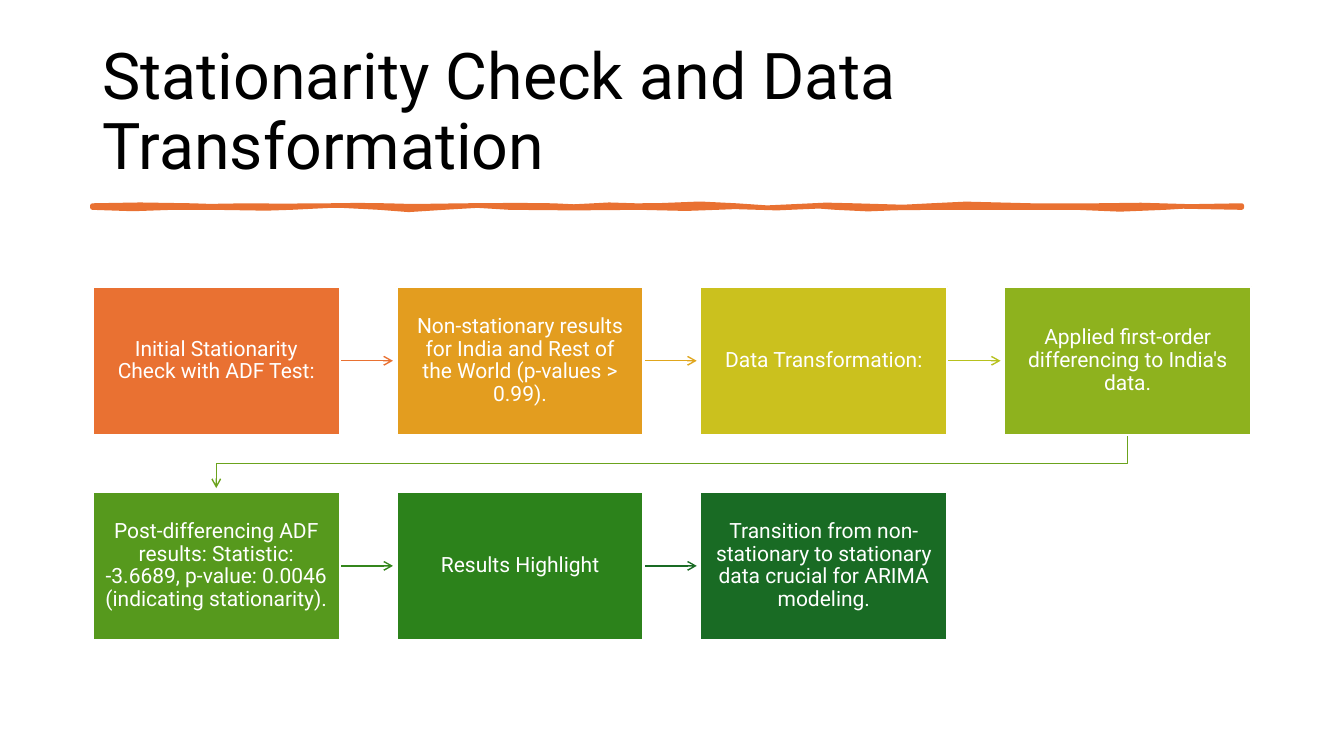
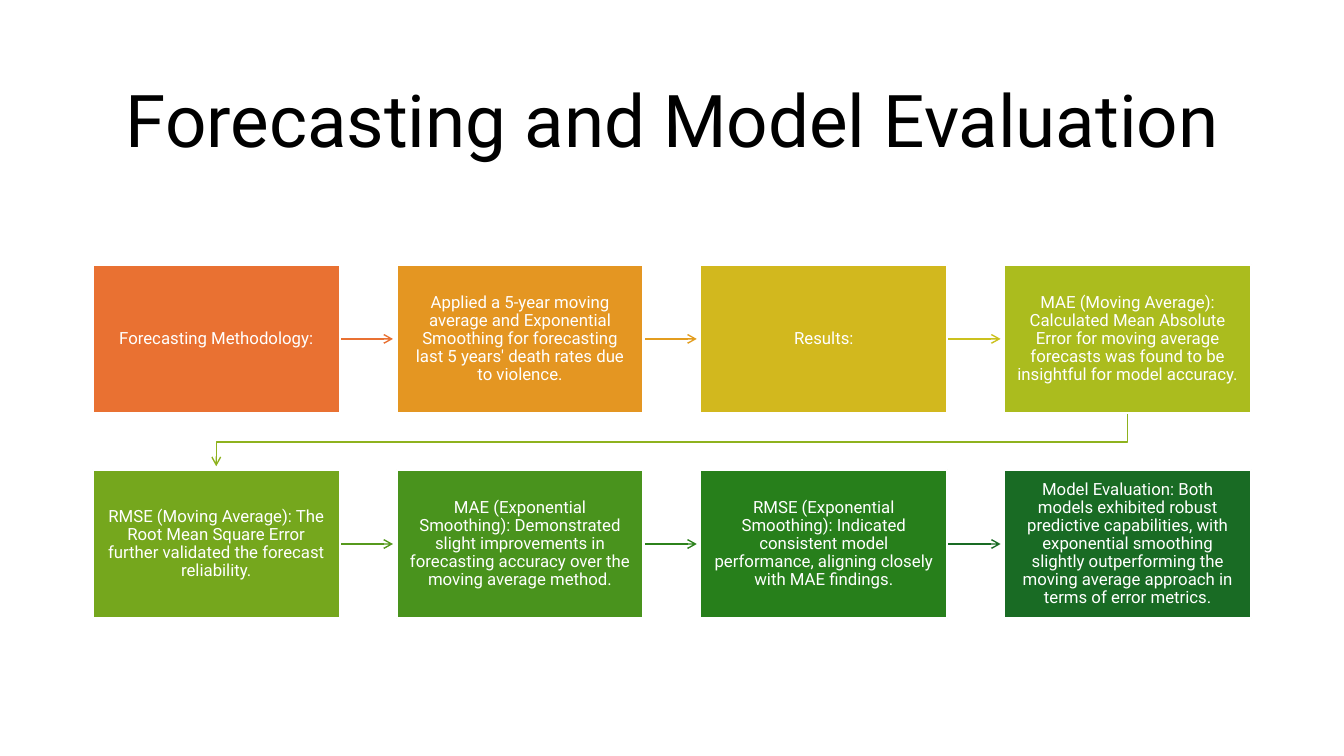
from lxml import etree
from pptx import Presentation
from pptx.dml.color import RGBColor
from pptx.enum import shapes, text
from pptx.oxml.ns import qn
from pptx.util import Pt

BLACK = RGBColor(0x00, 0x00, 0x00)
WHITE = RGBColor(0xFF, 0xFF, 0xFF)
ORANGE = RGBColor(0xE9, 0x71, 0x32)
AMBER = RGBColor(0xE3, 0x9D, 0x1F)
GOLD = RGBColor(0xE0, 0xA6, 0x1D)
TANGERINE = RGBColor(0xE4, 0x96, 0x22)
MUSTARD = RGBColor(0xD2, 0xB8, 0x1E)
YELLOW = RGBColor(0xCB, 0xC1, 0x1E)
CITRON = RGBColor(0xB7, 0xC1, 0x1E)
LIME = RGBColor(0xAB, 0xBC, 0x1E)
PEAR = RGBColor(0x8E, 0xB2, 0x1E)
OLIVE = RGBColor(0x75, 0xA7, 0x1D)
LEAF = RGBColor(0x6B, 0xA3, 0x1D)
GRASS = RGBColor(0x56, 0x99, 0x1D)
FERN = RGBColor(0x49, 0x93, 0x1D)
MOSS = RGBColor(0x34, 0x86, 0x1C)
GREEN = RGBColor(0x2C, 0x82, 0x1B)
FOREST = RGBColor(0x27, 0x7F, 0x1B)
PINE = RGBColor(0x19, 0x6B, 0x24)

FONT = "Roboto"
LEFT = 66.3
COLUMNS = 4
BOX_WIDTH, BOX_HEIGHT = 176.4, 105.8
COLUMN_STEP, ROW_STEP = 217, 146.5
ARROW_LENGTH = 38
ELBOW_DROP = 20.6

RULE_TOP, RULE_BOTTOM = 146.9, 148.3
TOP_WAVES = [
    (66, 0), (100, -0.6), (137, 0), (150, 0.4), (176, 0), (200, 0.2),
    (238, 0), (255, -0.3), (276, 0), (295, 0.5), (331, 0), (370, -0.3),
    (395, 0), (410, 0.7), (424, 0), (435, -0.6), (454, 0), (470, -0.1),
    (500, -1.3), (526, 0), (548, 1.5), (580, 0), (590, -0.5), (610, 0),
    (645, 1), (665, 0), (690, -1.2), (737, 0), (783, 0), (815, -0.4),
    (829, 0), (850, 0.6), (887, 0),
]
BOTTOM_WAVES = [
    (887, 0), (845, -0.8), (832, 0), (800, 1.3), (769, 0), (706, 0),
    (668, 0), (640, 0.3), (620, 1.1), (597, 0), (585, -0.9), (555, 0.4),
    (525, -0.5), (512, 0), (490, 0.8), (457, 0), (410, 0.4), (364, 0),
    (341, -1.4), (317, 0), (292, 1.6), (271, 0), (240, -1.6), (208, 0),
    (190, 0.6), (153, 0), (123, 0), (95, 1), (66, 0),
]


class FlowDeck:
    def __init__(self):
        self.deck = Presentation()
        self.deck.slide_width, self.deck.slide_height = Pt(960), Pt(540)
        self.page = None

    def add_page(self):
        self.page = self.deck.slides.add_slide(self.deck.slide_layouts[6])

    def set_words(self, shape, words, size, color, align):
        frame = shape.text_frame
        frame.word_wrap = True
        frame.vertical_anchor = text.MSO_ANCHOR.MIDDLE
        para = frame.paragraphs[0]
        para.text = words
        para.alignment = align
        para.line_spacing = 0.9
        para.font.name = FONT
        para.font.size = Pt(size)
        para.font.color.rgb = color
        return frame

    def title(self, words, top, height, size, align):
        box = self.page.shapes.add_textbox(Pt(LEFT), Pt(top), Pt(828), Pt(height))
        self.set_words(box, words, size, BLACK, align)

    def outline(self, points, color, width, closed):
        start, *rest = [(Pt(x), Pt(y)) for x, y in points]
        builder = self.page.shapes.build_freeform(*start)
        builder.add_line_segments(rest, close=closed)
        shape = builder.convert_to_shape()
        shape.shadow.inherit = False
        if closed:
            shape.fill.solid()
            shape.fill.fore_color.rgb = color
        else:
            shape.fill.background()
        shape.line.color.rgb = color
        shape.line.width = Pt(width)
        etree.SubElement(self.line_element(shape), qn("a:round"))
        return shape

    def line_element(self, shape):
        return shape._element.spPr.find(qn("a:ln"))

    def brush_rule(self):
        edge = [(x, RULE_TOP + rise) for x, rise in TOP_WAVES]
        edge += [(x, RULE_BOTTOM + rise) for x, rise in BOTTOM_WAVES]
        self.outline(edge, ORANGE, 3.25, True)

    def arrowhead(self, shape):
        etree.SubElement(self.line_element(shape), qn("a:tailEnd"), type="arrow")

    def arrow(self, x, y, color):
        line = self.page.shapes.add_connector(
            shapes.MSO_CONNECTOR.STRAIGHT, Pt(x), Pt(y), Pt(x + ARROW_LENGTH), Pt(y))
        line.line.color.rgb = color
        line.line.width = Pt(1)
        self.arrowhead(line)
        etree.SubElement(line._element.spPr, qn("a:effectLst"))

    def row_turn(self, y, color):
        first = LEFT + BOX_WIDTH / 2
        last = first + (COLUMNS - 1) * COLUMN_STEP
        points = [(last, y), (last, y + ELBOW_DROP),
                  (first, y + ELBOW_DROP), (first, y + ARROW_LENGTH)]
        self.arrowhead(self.outline(points, color, 1, False))

    def box(self, x, y, words, size, fill):
        box = self.page.shapes.add_shape(
            shapes.MSO_SHAPE.RECTANGLE, Pt(x), Pt(y), Pt(BOX_WIDTH), Pt(BOX_HEIGHT))
        box.shadow.inherit = False
        box.fill.solid()
        box.fill.fore_color.rgb = fill
        box.line.color.rgb = WHITE
        box.line.width = Pt(1.5)
        frame = self.set_words(box, words, size, WHITE, text.PP_ALIGN.CENTER)
        frame.margin_left = frame.margin_right = Pt(8.4)
        frame.margin_top = frame.margin_bottom = Pt(9)

    def flow(self, top, size, steps):
        for index, (words, fill, arrow_color) in enumerate(steps):
            row, column = divmod(index, COLUMNS)
            x = LEFT + column * COLUMN_STEP
            y = top + row * ROW_STEP
            if index < len(steps) - 1:
                if column == COLUMNS - 1:
                    self.row_turn(y + BOX_HEIGHT, arrow_color)
                else:
                    self.arrow(x + BOX_WIDTH, y + BOX_HEIGHT / 2, arrow_color)
            self.box(x, y, words, size, fill)


STATIONARITY_STEPS = [
    ("Initial Stationarity Check with ADF Test:", ORANGE, ORANGE),
    ("Non-stationary results for India and Rest of the World (p-values > 0.99).",
     AMBER, GOLD),
    ("Data Transformation:", YELLOW, CITRON),
    ("Applied first-order differencing to India's data.", PEAR, LEAF),
    ("Post-differencing ADF results: Statistic: -3.6689, p-value: 0.0046 "
     "(indicating stationarity).", GRASS, MOSS),
    ("Results Highlight", GREEN, PINE),
    ("Transition from non-stationary to stationary data crucial for ARIMA modeling.",
     PINE, None),
]
FORECAST_STEPS = [
    ("Forecasting Methodology:", ORANGE, ORANGE),
    ("Applied a 5-year moving average and Exponential Smoothing for forecasting "
     "last 5 years' death rates due to violence.", TANGERINE, AMBER),
    ("Results:", MUSTARD, YELLOW),
    ("MAE (Moving Average): Calculated Mean Absolute Error for moving average "
     "forecasts was found to be insightful for model accuracy.", LIME, PEAR),
    ("RMSE (Moving Average): The Root Mean Square Error further validated the "
     "forecast reliability.", OLIVE, GRASS),
    ("MAE (Exponential Smoothing): Demonstrated slight improvements in forecasting "
     "accuracy over the moving average method.", FERN, GREEN),
    ("RMSE (Exponential Smoothing): Indicated consistent model performance, "
     "aligning closely with MAE findings.", FOREST, PINE),
    ("Model Evaluation: Both models exhibited robust predictive capabilities, with "
     "exponential smoothing slightly outperforming the moving average approach in "
     "terms of error metrics.", PINE, None),
]


def main():
    flow_deck = FlowDeck()

    flow_deck.add_page()
    flow_deck.title("Stationarity Check and Data Transformation", 28.8, 104.4, 46,
                    text.PP_ALIGN.LEFT)
    flow_deck.brush_rule()
    flow_deck.flow(204.8, 15, STATIONARITY_STEPS)

    flow_deck.add_page()
    flow_deck.title("Forecasting and Model Evaluation", 43.9, 89.3, 52,
                    text.PP_ALIGN.CENTER)
    flow_deck.flow(189.2, 12, FORECAST_STEPS)

    flow_deck.deck.save("out.pptx")


if __name__ == "__main__":
    main()
